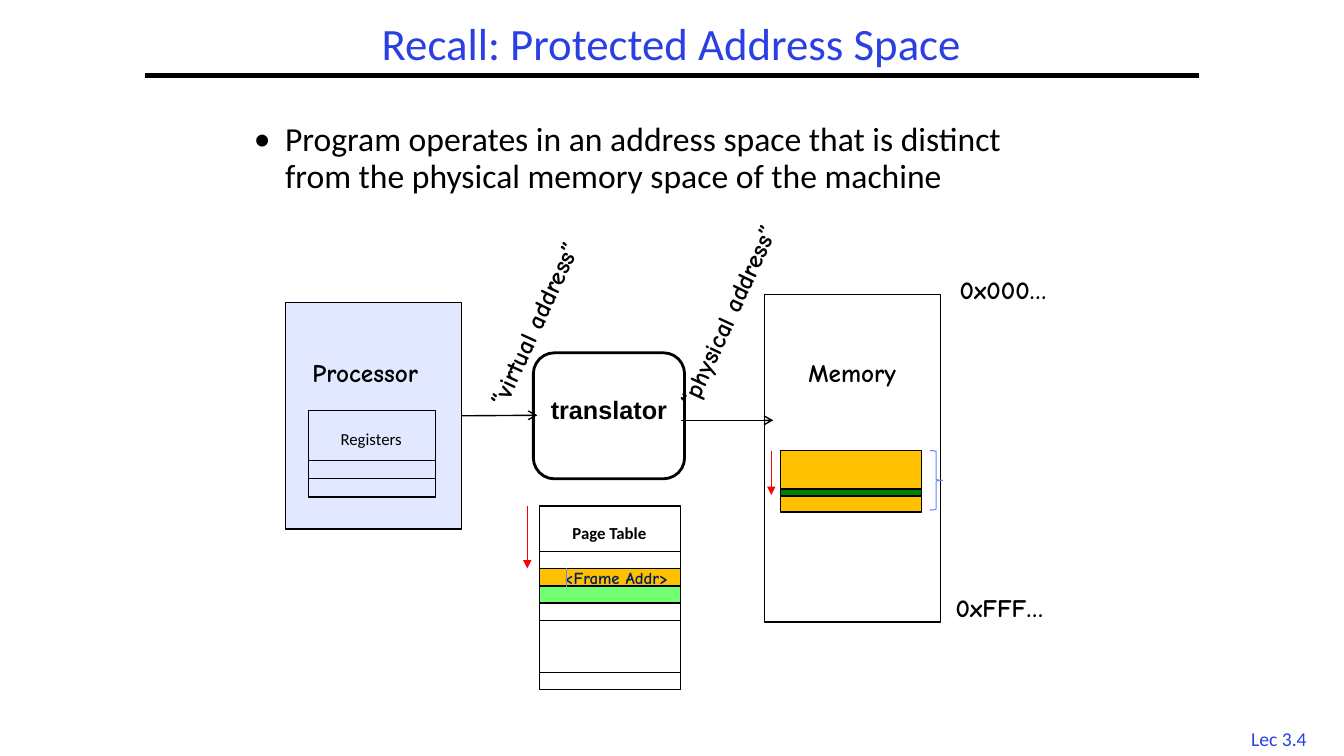
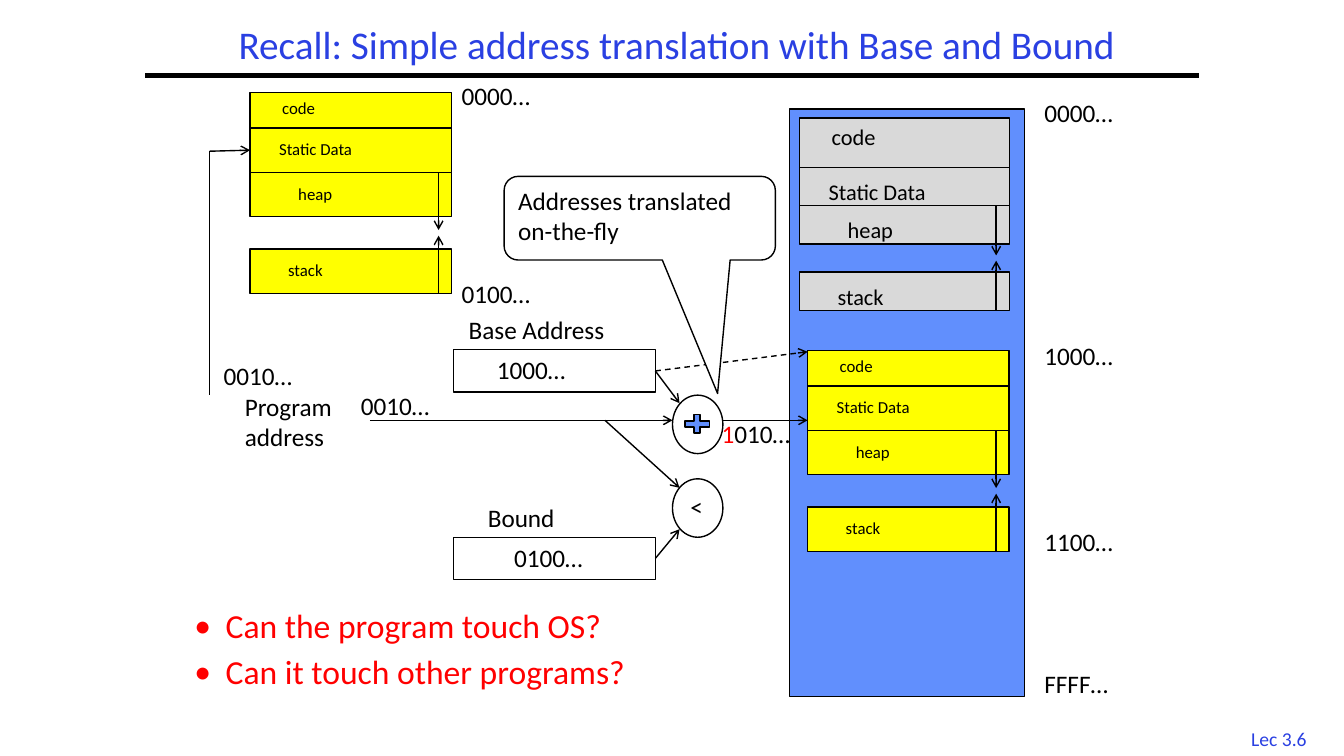
from dataclasses import dataclass

from lxml import etree
from pptx import Presentation
from pptx.dml.color import RGBColor
from pptx.enum.dml import MSO_LINE
from pptx.enum.shapes import MSO_CONNECTOR, MSO_SHAPE
from pptx.enum.text import MSO_ANCHOR, MSO_AUTO_SIZE, PP_ALIGN
from pptx.oxml.ns import qn
from pptx.util import Inches, Pt

RECTANGLE = MSO_SHAPE.RECTANGLE
ELLIPSE = MSO_SHAPE.OVAL
STRAIGHT = MSO_CONNECTOR.STRAIGHT
DASH = MSO_LINE.DASH
MIDDLE = MSO_ANCHOR.MIDDLE
CENTER = PP_ALIGN.CENTER
LEFT = PP_ALIGN.LEFT
LEFT_SIDE, RIGHT_SIDE = 1, 3


@dataclass(frozen=True)
class Theme:
    black: str = "000000"
    white: str = "FFFFFF"
    title: str = "2A40E2"
    red: str = "FF0000"
    navy: str = "002060"
    accent: str = "5B8AFB"
    memory: str = "618FFD"
    processor: str = "E2E8FF"
    frame: str = "FFC000"
    frame_word: str = "008200"
    next_frame: str = "72FF72"
    program: str = "FFFF00"
    system: str = "D9D9D9"
    body_font: str = "Calibri"
    drawing_font: str = "Comic Neue"
    box_font: str = "Arial"
    body_size: int = 24
    label_size: int = 18
    segment_size: int = 16
    small_size: int = 12
    footer_size: int = 14


THEME = Theme()

PROTECTED = {
    "title": "Recall: Protected Address Space",
    "title_size": 32,
    "title_span": (1.44, 10.44),
    "footer": "Lec 3.4",
    "bullets": ["Program operates in an address space that is distinct "
                "from the physical memory space of the machine"],
    "labels": [
        ("Processor", 3, 3.5),
        ("Memory", 7.92, 3.5),
        ("0x000…", 9.42, 2.67),
        ("0xFFF…", 9.38, 5.83),
    ],
    "slanted": [
        ("“virtual address”", 4.23, 2.88, 2.25),
        ("“physical address”", 6.06, 2.8, 2.43),
    ],
}

BASE_AND_BOUND = {
    "title": "Recall: Simple address translation with Base and Bound",
    "title_size": 28,
    "title_span": (1.67, 10.08),
    "footer": "Lec 3.6",
    "bullets": ["Can the program touch OS?", "Can it touch other programs?"],
    "labels": [
        ("0000…", 10.26, 0.92),
        ("1000…", 10.26, 3.33),
        ("1100…", 10.26, 5.17),
        ("FFFF…", 10.26, 6.58),
        ("0000…", 4.48, 0.75),
        ("0100…", 4.48, 2.71),
        ("Program\naddress", 2.33, 3.83),
        ("Base Address", 4.55, 3.07),
        ("1000…", 4.83, 3.47),
        ("Bound", 4.74, 4.93),
        ("0100…", 5, 5.33),
        ("<", 6.75, 4.83),
        ("0010…", 2.12, 3.53),
        ("0010…", 3.48, 3.82),
    ],
    "translated": [("1", THEME.red), ("010…", THEME.black)],
    "callout": "Addresses translated\non-the-fly",
}

# name, label shift right, label shift down
SEGMENTS = [
    ("code", 0.22, 0),
    ("Static Data", 0.19, 0.06),
    ("heap", 0.38, 0.06),
    ("stack", 0.28, 0.06),
]


def color(value):
    return RGBColor.from_string(value)


def inches(*lengths):
    return [Inches(length) for length in lengths]


def add_run(paragraph, text, size, fill=THEME.black, font=THEME.body_font,
            bold=False):
    run = paragraph.add_run()
    run.text = text
    run.font.size = Pt(size)
    run.font.name = font
    run.font.bold = bold
    run.font.color.rgb = color(fill)


def write_lines(frame, text, size, align=LEFT, **style):
    """Write one paragraph for each line; text may also be (text, colour) runs."""
    lines = text.split("\n") if isinstance(text, str) else [text]
    for index, line in enumerate(lines):
        paragraph = frame.add_paragraph() if index else frame.paragraphs[0]
        paragraph.alignment = align
        if isinstance(line, str):
            add_run(paragraph, line, size, **style)
        else:
            for part, fill in line:
                add_run(paragraph, part, size, fill=fill)


def add_label(slide, text, left, top, width=1.8, height=0.4,
              size=THEME.label_size, align=LEFT, **style):
    """Add text in a box wide enough for its longest line."""
    label = slide.shapes.add_textbox(*inches(left, top, width, height))
    label.text_frame.word_wrap = False
    label.text_frame.auto_size = MSO_AUTO_SIZE.SHAPE_TO_FIT_TEXT
    write_lines(label.text_frame, text, size, align, **style)
    return label


def add_box(slide, left, top, width, height, fill=None, kind=RECTANGLE,
            line=THEME.black, weight=1):
    box = slide.shapes.add_shape(kind, *inches(left, top, width, height))
    box.shadow.inherit = False
    if fill:
        box.fill.solid()
        box.fill.fore_color.rgb = color(fill)
    else:
        box.fill.background()
    box.line.color.rgb = color(line)
    box.line.width = Pt(weight)
    return box


def write_in_box(box, text, bottom_inset, **style):
    frame = box.text_frame
    frame.vertical_anchor = MIDDLE
    frame.margin_bottom = Inches(bottom_inset)
    write_lines(frame, text, THEME.label_size, **style)


def add_line(slide, start, end, line=THEME.black, weight=1, head=None, dash=None):
    connector = slide.shapes.add_connector(STRAIGHT, *inches(*start, *end))
    connector.line.color.rgb = color(line)
    connector.line.width = Pt(weight)
    if dash:
        connector.line.dash_style = dash
    if head:
        outline = connector.line._get_or_add_ln()
        etree.SubElement(outline, qn("a:tailEnd"), type=head)
    etree.SubElement(connector._element.spPr, qn("a:effectLst"))
    return connector


def add_arrow(slide, start, end, **style):
    return add_line(slide, start, end, head="arrow", **style)


def add_offset_arrow(slide, x, top, bottom):
    add_line(slide, (x, top), (x, bottom), THEME.red, 0.75, head="triangle")


def add_bullets(slide, lines, left, top, width, height, fill=THEME.black):
    body = slide.shapes.add_textbox(*inches(left, top, width, height))
    frame = body.text_frame
    frame.word_wrap = True
    write_lines(frame, "\n".join(lines), THEME.body_size, fill=fill)
    hanging = Inches(0.31)
    for paragraph in frame.paragraphs:
        paragraph.line_spacing = 0.9
        paragraph.space_after = Pt(7)
        properties = paragraph._p.get_or_add_pPr()
        properties.set("marL", str(hanging))
        properties.set("indent", str(-hanging))
        etree.SubElement(properties, qn("a:buFont"), typeface=THEME.body_font)
        etree.SubElement(properties, qn("a:buChar"), char="•")


def add_slide(presentation, content):
    """Add a slide with the shared title, rule and footer."""
    slide = presentation.slides.add_slide(presentation.slide_layouts[6])
    add_line(slide, (1.44, 0.75), (11.89, 0.75), weight=3)
    left, width = content["title_span"]
    title = slide.shapes.add_textbox(*inches(left, 0.17, width, 0.58))
    title.text_frame.word_wrap = True
    title.text_frame.vertical_anchor = MIDDLE
    write_lines(title.text_frame, content["title"], content["title_size"],
                CENTER, fill=THEME.title)
    title.text_frame.paragraphs[0].line_spacing = 0.9
    add_label(slide, content["footer"], 12.2, 7.16, 0.97, 0.33,
              THEME.footer_size, CENTER, fill=THEME.title)
    return slide


def add_address_space(slide, left, top, width=2, code=0.35, segment=0.44,
                      gap=0.32, fill=THEME.program, size=THEME.small_size):
    """Stack the four segments and return their boxes by name."""
    heap_top = top + code + segment
    stack_top = heap_top + segment + gap
    tops = [top, top + code, heap_top, stack_top]
    heights = [code] + [segment] * 3
    boxes = {}
    for (name, right, down), y, height in zip(SEGMENTS, tops, heights):
        boxes[name] = add_box(slide, left, y, width, height, fill)
        add_label(slide, name, left + right, y + down, 1.4, 0.3, size)
    x = left + width - 0.13
    growth = 1.3 * segment
    stack_bottom = stack_top + segment
    add_arrow(slide, (x, heap_top), (x, heap_top + growth))
    add_arrow(slide, (x, stack_bottom), (x, stack_bottom - growth))
    return boxes


def add_page_table(slide):
    left, top, width, height = 5.35, 5.02, 1.4, 1.82
    first_row = 5.47
    row_height = (top + height - first_row) / 8
    rows = {0: None, 1: THEME.frame, 2: THEME.next_frame, 3: None, 7: None}
    add_box(slide, left, top, width, height)
    for row, fill in rows.items():
        add_box(slide, left, first_row + row * row_height, width, row_height, fill)
    add_label(slide, "Page Table", 5.58, 5.14, size=THEME.small_size, bold=True)
    add_label(slide, "<Frame Addr>", 5.5, 5.58, height=0.3, size=THEME.small_size,
              fill=THEME.navy, font=THEME.drawing_font, bold=True)
    add_line(slide, (5.62, 5.64), (5.62, 5.82), THEME.accent, 0.75)
    add_offset_arrow(slide, 5.23, top, 5.64)


def add_memory_frame(slide):
    left, top, width = 7.74, 4.47, 1.4
    add_box(slide, left, top, width, 0.61, THEME.frame)
    add_box(slide, left, 4.85, width, 0.07, THEME.frame_word)
    add_box(slide, 9.22, top, 0.13, 0.59, kind=MSO_SHAPE.RIGHT_BRACE,
            line=THEME.accent, weight=0.75)
    add_offset_arrow(slide, 7.65, top, 4.91)


def build_protected(presentation):
    content = PROTECTED
    slide = add_slide(presentation, content)
    add_bullets(slide, content["bullets"], 2.42, 1.17, 8.33, 1.33)
    add_box(slide, 7.58, 2.92, 1.75, 3.25)
    processor = add_box(slide, 2.83, 3, 1.75, 2.25, THEME.processor)
    for top, height in ((4.07, 0.86), (4.57, 0.18)):
        add_box(slide, 3.06, top, 1.26, height)
    add_label(slide, "Registers", 3.28, 4.2, size=THEME.small_size)

    translator = add_box(slide, 5.29, 3.5, 1.5, 1.25, THEME.white,
                         MSO_SHAPE.FLOWCHART_ALTERNATE_PROCESS, weight=2)
    write_in_box(translator, "translator", 0.17, align=CENTER,
                 font=THEME.box_font, bold=True)
    to_translator = add_arrow(slide, (4.58, 4.12), (5.33, 4.12))
    to_translator.begin_connect(processor, RIGHT_SIDE)
    add_arrow(slide, (6.75, 4.17), (7.67, 4.17))

    drawing = {"font": THEME.drawing_font, "bold": True}
    for text, left, top in content["labels"]:
        add_label(slide, text, left, top, **drawing)
    for text, left, top, width in content["slanted"]:
        add_label(slide, text, left, top, width, **drawing).rotation = 294.7
    add_page_table(slide)
    add_memory_frame(slide)


def build_base_and_bound(presentation):
    content = BASE_AND_BOUND
    slide = add_slide(presentation, content)
    add_box(slide, 7.83, 1.08, 2.33, 5.83, THEME.memory)
    add_address_space(slide, 7.93, 1.17, 2.08, 0.49, 0.38, 0.28,
                      THEME.system, THEME.segment_size)
    add_address_space(slide, 8.01, 3.48)
    virtual = add_address_space(slide, 2.48, 0.92)

    base, bound = [add_box(slide, 4.5, top, 2, 0.42) for top in (3.47, 5.33)]
    add_box(slide, 6.75, 4.08, 0.33, 0.25, THEME.memory, MSO_SHAPE.MATH_PLUS)
    for top in (3.92, 4.75):
        add_box(slide, 6.67, top, 0.5, 0.58, kind=ELLIPSE)

    for register, start_y, end, dash in (
            (base, 3.68, (8.01, 3.49), DASH),
            (base, 3.68, (6.74, 4), None),
            (bound, 5.54, (6.74, 5.25), None)):
        arrow = add_arrow(slide, (6.5, start_y), end, dash=dash)
        arrow.begin_connect(register, RIGHT_SIDE)
    for start, end in (((3.67, 4.17), (6.67, 4.17)),
                       ((7.17, 4.17), (8.01, 4.17)),
                       ((6, 4.17), (6.74, 4.84))):
        add_arrow(slide, start, end)
    add_line(slide, (2.08, 1.5), (2.08, 3.92))
    to_data = add_arrow(slide, (2.08, 1.5), (2.48, 1.49))
    to_data.end_connect(virtual["Static Data"], LEFT_SIDE)

    callout = add_box(slide, 5, 1.75, 2.69, 0.83, THEME.white,
                      MSO_SHAPE.ROUNDED_RECTANGULAR_CALLOUT)
    for index, value in enumerate((0.287, 2.095, 0.167)):
        callout.adjustments[index] = value
    write_in_box(callout, content["callout"], 0.11)

    for text, left, top in content["labels"]:
        add_label(slide, text, left, top)
    add_label(slide, content["translated"], 7.06, 4.1)
    add_bullets(slide, content["bullets"], 1.83, 6, 5.83, 1.25, THEME.red)


def main():
    presentation = Presentation()
    presentation.slide_width = Inches(13.33)
    presentation.slide_height = Inches(7.5)
    build_protected(presentation)
    build_base_and_bound(presentation)
    presentation.save("out.pptx")


if __name__ == "__main__":
    main()
